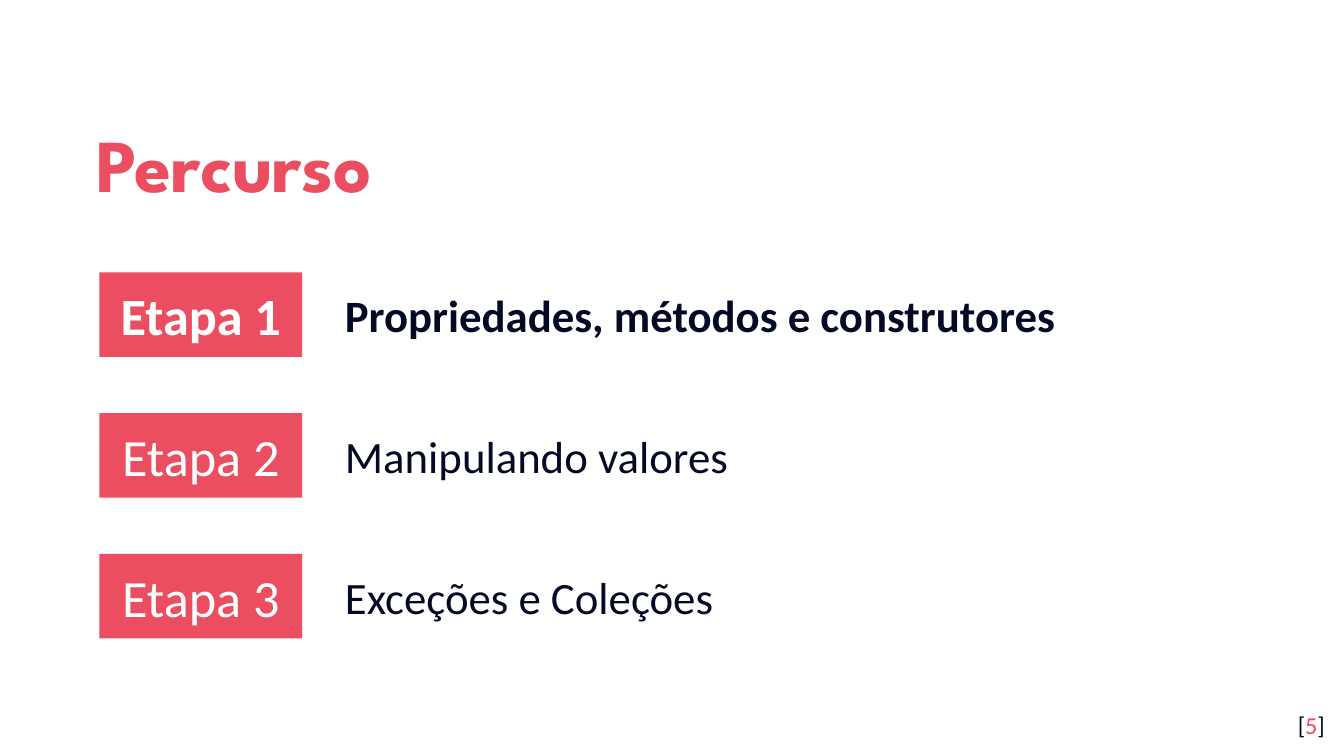
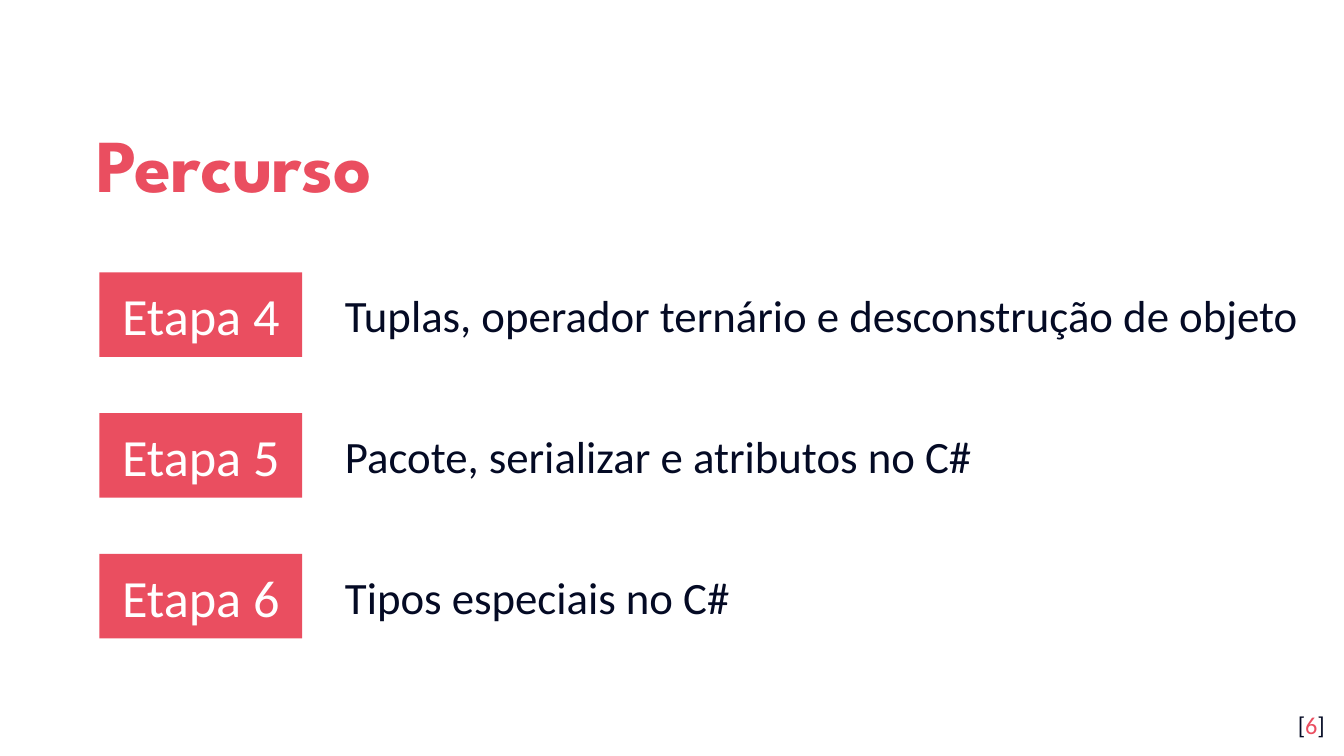
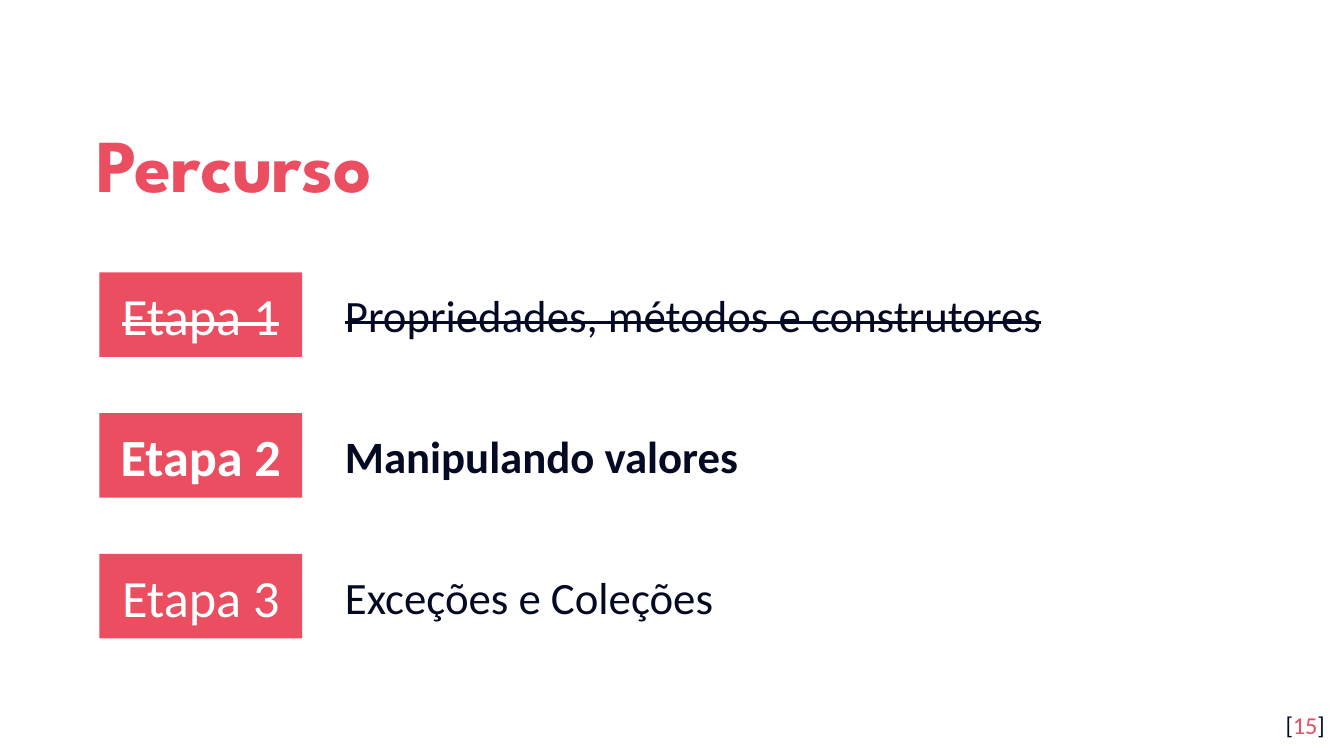
from dataclasses import dataclass

from pptx import Presentation
from pptx.dml.color import RGBColor
from pptx.enum.shapes import MSO_SHAPE
from pptx.enum.text import MSO_ANCHOR, MSO_AUTO_SIZE, PP_ALIGN
from pptx.util import Cm, Pt

RECTANGLE = MSO_SHAPE.RECTANGLE
MIDDLE, TOP = MSO_ANCHOR.MIDDLE, MSO_ANCHOR.TOP
LEFT, CENTER, RIGHT = PP_ALIGN.LEFT, PP_ALIGN.CENTER, PP_ALIGN.RIGHT
NO_AUTOFIT = MSO_AUTO_SIZE.NONE
TITLE_ONLY = 5

HEADING = "Percurso"
STAGES = {
    1: ("Propriedades, métodos e construtores", 17.15),
    2: ("Manipulando valores", 18.03),
    3: ("Exceções e Coleções", 17.15),
    4: ("Tuplas, operador ternário e desconstrução de objeto", 18.54),
    5: ("Pacote, serializar e atributos no C#", 18.03),
    6: ("Tipos especiais no C#", 17.15),
}
SLIDES = [
    {"page": 5, "stages": (1, 2, 3), "current": 1, "done": ()},
    {"page": 6, "stages": (4, 5, 6), "current": None, "done": ()},
    {"page": 15, "stages": (1, 2, 3), "current": 2, "done": (1,)},
]


@dataclass(frozen=True)
class Theme:
    accent: RGBColor = RGBColor(0xEA, 0x4E, 0x60)
    ink: RGBColor = RGBColor(0x04, 0x0A, 0x24)
    paper: RGBColor = RGBColor(0xFF, 0xFF, 0xFF)
    heading_font: str = "League Spartan"
    body_font: str = "Calibri"
    heading_size: int = 40
    badge_size: int = 28
    topic_size: int = 24
    page_size: int = 13


THEME = Theme()
INSET = 0.25
BADGE_LEFT, BADGE_WIDTH, BADGE_HEIGHT = 1.88, 3.83, 1.6
FIRST_ROW, ROW_STEP = 5.15, 2.66
TOPIC_LEFT, TOPIC_HEIGHT = 6.27, 1.27


def box(left, top, width, height):
    return Cm(left), Cm(top), Cm(width), Cm(height)


def set_frame(frame, anchor, vertical_inset=INSET):
    frame.word_wrap = True
    frame.auto_size = NO_AUTOFIT
    frame.vertical_anchor = anchor
    frame.margin_left = frame.margin_right = Cm(INSET)
    frame.margin_top = frame.margin_bottom = Cm(vertical_inset)


def style(paragraph, size, color, align=LEFT, bold=False, font=THEME.body_font):
    paragraph.alignment = align
    paragraph.font.name = font
    paragraph.font.size = Pt(size)
    paragraph.font.bold = bold
    paragraph.font.color.rgb = color


def write(frame, text, struck=False):
    paragraph = frame.paragraphs[0]
    run = paragraph.add_run()
    run.text = text
    if struck:
        run._r.get_or_add_rPr().set("strike", "sngStrike")
    return paragraph


def add_heading(slide):
    heading = slide.shapes.title
    heading.left, heading.top, heading.width, heading.height = box(1.57, 1.78, 20.57, 2.34)
    set_frame(heading.text_frame, MIDDLE)
    paragraph = write(heading.text_frame, HEADING)
    paragraph.line_spacing = 1.15
    style(paragraph, THEME.heading_size, THEME.accent, bold=True, font=THEME.heading_font)


def add_stage(slide, row, number, current, done):
    top = FIRST_ROW + row * ROW_STEP
    topic_text, topic_width = STAGES[number]

    badge = slide.shapes.add_shape(RECTANGLE, *box(BADGE_LEFT, top, BADGE_WIDTH, BADGE_HEIGHT))
    badge.shadow.inherit = False
    badge.fill.solid()
    badge.fill.fore_color.rgb = THEME.accent
    badge.line.fill.background()
    set_frame(badge.text_frame, MIDDLE)
    label = write(badge.text_frame, f"Etapa {number}", done)
    style(label, THEME.badge_size, THEME.paper, CENTER, current)

    topic_top = top + (BADGE_HEIGHT - TOPIC_HEIGHT) / 2
    topic = slide.shapes.add_textbox(*box(TOPIC_LEFT, topic_top, topic_width, TOPIC_HEIGHT))
    set_frame(topic.text_frame, TOP, INSET / 2)
    style(write(topic.text_frame, topic_text, done), THEME.topic_size, THEME.ink, bold=current)


def add_page_number(slide, page):
    footer = slide.shapes.add_textbox(*box(23.77, 13.18, 1.52, 1.09))
    set_frame(footer.text_frame, TOP)
    for part in ("[", str(page), "]"):
        paragraph = write(footer.text_frame, part)
    style(paragraph, THEME.page_size, THEME.ink, RIGHT)
    paragraph.runs[1].font.color.rgb = THEME.accent


def main():
    deck = Presentation()
    deck.slide_width, deck.slide_height = Cm(25.4), Cm(14.29)
    for content in SLIDES:
        slide = deck.slides.add_slide(deck.slide_layouts[TITLE_ONLY])
        slide.background.fill.solid()
        slide.background.fill.fore_color.rgb = THEME.paper
        add_heading(slide)
        for row, number in enumerate(content["stages"]):
            add_stage(slide, row, number, number == content["current"], number in content["done"])
        add_page_number(slide, content["page"])
    deck.save("out.pptx")


if __name__ == "__main__":
    main()
